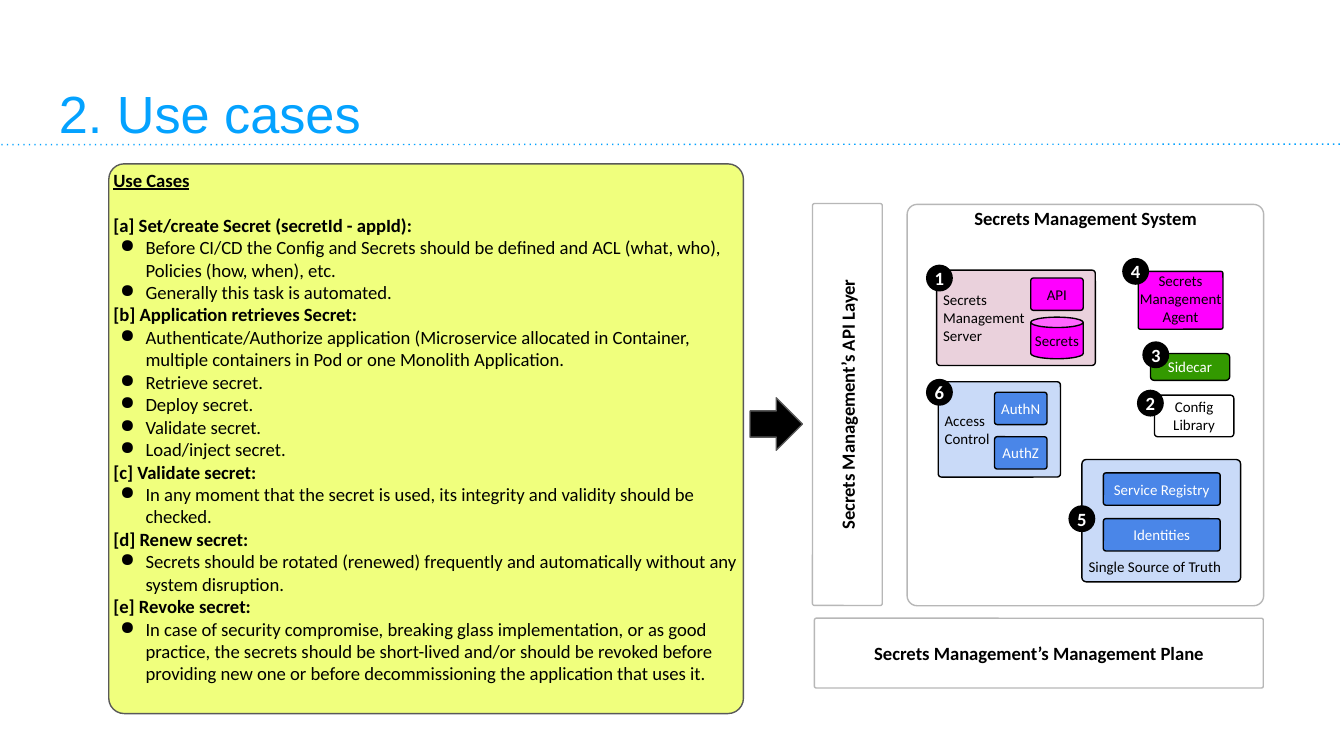
from lxml import etree
from pptx import Presentation
from pptx.dml.color import RGBColor
from pptx.enum.shapes import MSO_CONNECTOR, MSO_SHAPE
from pptx.enum.text import MSO_ANCHOR, PP_ALIGN
from pptx.oxml.ns import qn
from pptx.util import Pt

ROUND, OVAL, CAN, ARROW = (MSO_SHAPE.ROUNDED_RECTANGLE, MSO_SHAPE.OVAL,
                           MSO_SHAPE.CAN, MSO_SHAPE.DOWN_ARROW)
TOP, MIDDLE, BOTTOM = MSO_ANCHOR.TOP, MSO_ANCHOR.MIDDLE, MSO_ANCHOR.BOTTOM
LEFT, CENTER = PP_ALIGN.LEFT, PP_ALIGN.CENTER
BLACK, WHITE, SKY = "000000", "FFFFFF", "04A2FF"
GRAY, DARK_GRAY = "B7B7B7", "595959"
PALE_BLUE, BLUE, MAGENTA = "C9DAF8", "4A86E8", "FF00FF"

TITLE = "2. Use cases"
USE_CASES = [
    ("[a] Set/create Secret (secretId - appId):", [
        "Before CI/CD the Config and Secrets should be defined and ACL (what, who), "
        "Policies (how, when), etc.",
        "Generally this task is automated."]),
    ("[b] Application retrieves Secret:", [
        "Authenticate/Authorize application (Microservice allocated in Container, "
        "multiple containers in Pod or one Monolith Application.",
        "Retrieve secret.", "Deploy secret.", "Validate secret.", "Load/inject secret."]),
    ("[c] Validate secret:", [
        "In any moment that the secret is used, its integrity and validity should be checked."]),
    ("[d] Renew secret:", [
        "Secrets should be rotated (renewed) frequently and automatically without any "
        "system disruption."]),
    ("[e] Revoke secret:", [
        "In case of security compromise, breaking glass implementation, or as good practice, "
        "the secrets should be short-lived and/or should be revoked before providing new one "
        "or before decommissioning the application that uses it."]),
]

# Shared looks; each item below may override single values.
PANEL = dict(round=0.028, fill=WHITE, line=GRAY, size=10, bold=True)
GROUP = dict(round=0.035, fill=PALE_BLUE, align=LEFT, inset=2.88)
CHIP = dict(round=0.08, fill=BLUE, color=WHITE, inset=2.88)
BADGE = dict(kind=OVAL, fill=BLACK, line=None, color=WHITE, size=10, bold=True)

# (lines of text, (left, top, width, height), look, overrides)
ITEMS = [
    (["Secrets Management System"], (486, 109.5, 191, 215), PANEL, dict(anchor=TOP)),
    (["Secrets Management’s API Layer"], (346.3, 198, 215.3, 37.4), PANEL, dict(rotation=270)),
    (["Secrets Management’s Management Plane"], (436.3, 331.2, 240.5, 37.4), PANEL, {}),
    ([], (401.8, 213.1, 28.1, 28.1), {}, dict(kind=ARROW, fill=BLACK, line=DARK_GRAY, rotation=270)),
    (["Access", "Control"], (502.6, 204.5, 65.5, 51.1), GROUP, {}),
    (["Secrets", "Management", "Server"], (501.8, 144.7, 85, 51.1), GROUP, dict(fill="EAD1DC")),
    (["Single Source of Truth"], (579.6, 246.2, 85, 65.5), GROUP, dict(anchor=BOTTOM)),
    (["Secrets Management Agent"], (609.8, 145.4, 45.4, 31), GROUP,
     dict(fill=MAGENTA, align=CENTER, inset=0, anchor=TOP)),
    (["API"], (552.2, 149, 28.1, 17.3), CHIP, dict(fill=MAGENTA, color=BLACK)),
    (["Secrets"], (552.2, 169.9, 28.1, 22.3), {}, dict(kind=CAN, fill=MAGENTA)),
    (["AuthN"], (532.8, 210.2, 28.1, 17.3), CHIP, {}),
    (["AuthZ"], (532.8, 234, 28.1, 17.3), CHIP, {}),
    (["Sidecar"], (616.3, 189.4, 42.5, 14.4), CHIP, dict(round=0.14, fill="339900")),
    (["Config", "Library"], (618.5, 211.7, 42.5, 22.3), CHIP, dict(fill=WHITE, color=BLACK)),
    (["Service Registry"], (591.1, 253.4, 62.6, 17.3), CHIP, {}),
    (["Identities"], (591.1, 277.9, 62.6, 17.3), CHIP, {}),
]
BADGE_SIZE = 14.4
BADGES = {"1": (496.1, 141.8), "2": (609.1, 208.8), "3": (612, 182.9),
          "4": (601.2, 138.2), "5": (572.4, 270.7), "6": (496.1, 203)}


def rgb(value):
    return RGBColor.from_string(value)


def set_frame(tf, anchor, inset):
    frame = dict(word_wrap=True, vertical_anchor=anchor)
    frame.update({f"margin_{side}": Pt(inset) for side in ("left", "top", "right", "bottom")})
    for name, value in frame.items():
        setattr(tf, name, value)


def add_text(tf, text, align=LEFT, color=BLACK, font="Calibri", size=10, **formats):
    """Fill the empty first paragraph, or append a new one."""
    p = tf.paragraphs[0] if not tf.paragraphs[0].runs else tf.add_paragraph()
    p.alignment = align
    r = p.add_run()
    r.text = text
    r.font.color.rgb = rgb(color)
    for name, value in dict(name=font, size=Pt(size), **formats).items():
        setattr(r.font, name, value)
    return p


def add_bullet(p):
    pPr = p._p.get_or_add_pPr()
    pPr.set("marL", str(Pt(17.3)))
    pPr.set("indent", str(Pt(-13.7)))
    color = etree.SubElement(pPr, qn("a:buClr"))
    etree.SubElement(color, qn("a:srgbClr"), val=BLACK)
    etree.SubElement(pPr, qn("a:buChar"), char="●")


def add_box(s, lines, place, look):
    look = dict(dict(kind=ROUND, line=BLACK, color=BLACK, size=8, bold=False, rotation=0,
                     align=CENTER, anchor=MIDDLE, inset=0), **look)
    sp = s.shapes.add_shape(look["kind"], *map(Pt, place))
    sp.shadow.inherit = False
    sp.rotation = look["rotation"]
    if "round" in look:
        sp.adjustments[0] = look["round"]
    sp.fill.solid()
    sp.fill.fore_color.rgb = rgb(look["fill"])
    if look["line"]:
        sp.line.color.rgb = rgb(look["line"])
        sp.line.width = Pt(0.75)
    else:
        sp.line.fill.background()
    set_frame(sp.text_frame, look["anchor"], look["inset"])
    for text in lines:
        add_text(sp.text_frame, text, **{k: look[k] for k in ("align", "color", "size", "bold")})
    return sp


def add_title(s):
    rule = s.shapes.add_connector(MSO_CONNECTOR.STRAIGHT, Pt(0.7), Pt(77.5), Pt(719.3), Pt(77.2))
    rule.line.color.rgb = rgb(SKY)
    rule.line.width = Pt(0.75)
    etree.SubElement(rule.line._get_or_add_ln(), qn("a:prstDash"), val="dot")
    etree.SubElement(rule._element.spPr, qn("a:effectLst"))
    tf = s.shapes.add_textbox(Pt(24.5), Pt(35.3), Pt(391), Pt(49)).text_frame
    set_frame(tf, BOTTOM, 7.2)
    add_text(tf, TITLE, color=SKY, font="Arial", size=28)


def add_use_cases(s):
    look = dict(PANEL, fill="F0FF7D", line=DARK_GRAY, anchor=TOP)
    tf = add_box(s, [], (58.3, 87.8, 340, 294.5), look).text_frame
    add_text(tf, "Use Cases", bold=True, underline=True).space_after = Pt(12.2)
    for heading, steps in USE_CASES:
        add_text(tf, heading, bold=True)
        for step in steps:
            add_bullet(add_text(tf, step))


def main():
    prs = Presentation()
    prs.slide_width, prs.slide_height = Pt(720), Pt(405)
    s = prs.slides.add_slide(prs.slide_layouts[6])
    add_title(s)
    add_use_cases(s)
    for lines, place, look, overrides in ITEMS:
        add_box(s, lines, place, dict(look, **overrides))
    for number, corner in BADGES.items():
        add_box(s, [number], (*corner, BADGE_SIZE, BADGE_SIZE), BADGE)
    prs.save("out.pptx")


if __name__ == "__main__":
    main()
